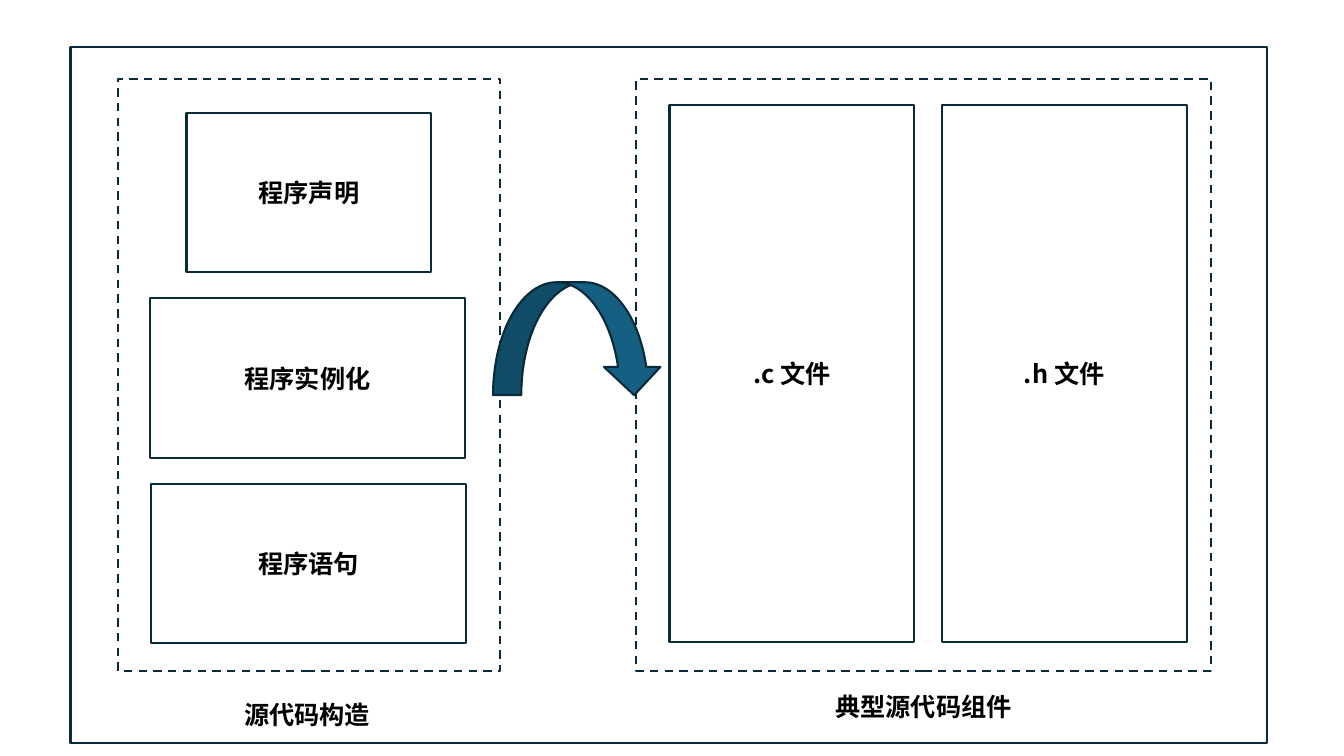
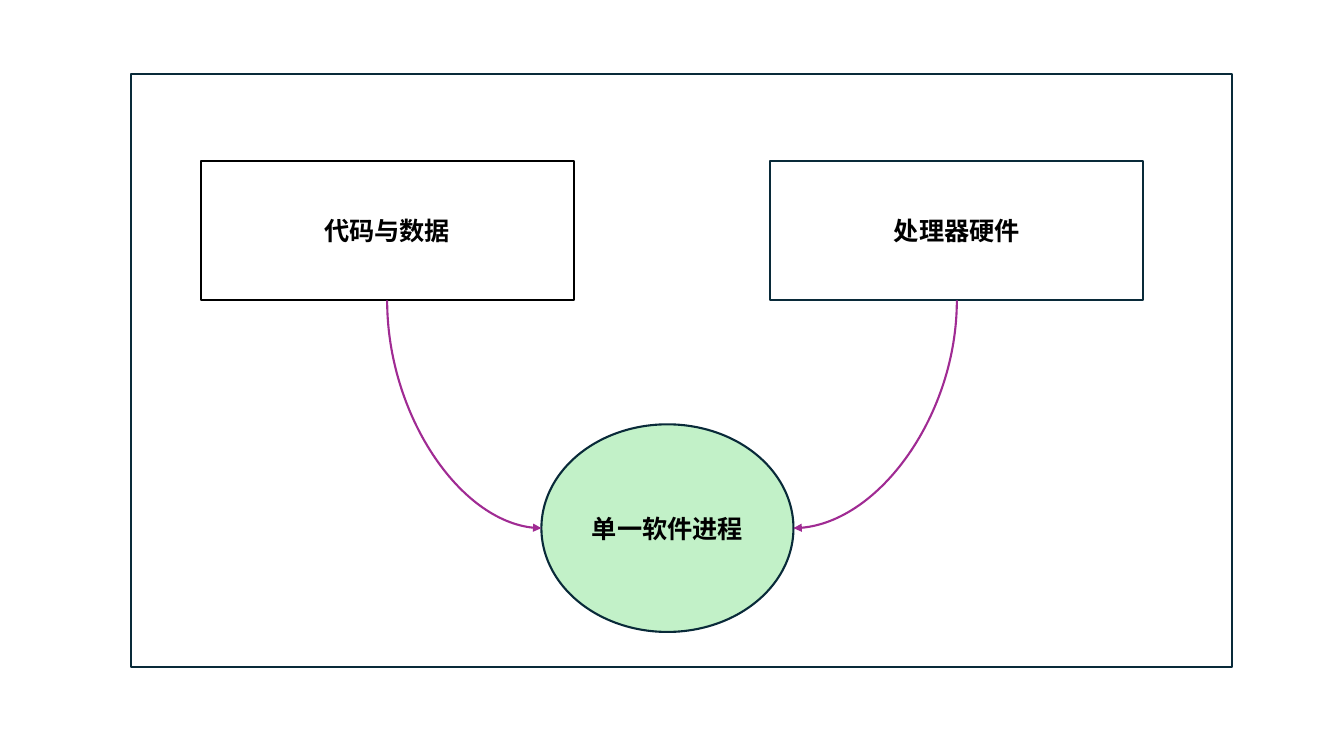
from lxml import etree
from pptx import Presentation
from pptx.dml.color import RGBColor
from pptx.enum.dml import MSO_LINE
from pptx.enum.shapes import MSO_CONNECTOR, MSO_SHAPE
from pptx.enum.text import MSO_ANCHOR, MSO_AUTO_SIZE, PP_ALIGN
from pptx.oxml.ns import qn
from pptx.util import Inches, Pt

RECT = MSO_SHAPE.RECTANGLE
OVAL = MSO_SHAPE.OVAL
BEND = MSO_SHAPE.CURVED_DOWN_ARROW
CURVE = MSO_CONNECTOR.CURVE
DASH = MSO_LINE.DASH
CENTER = PP_ALIGN.CENTER
MIDDLE = MSO_ANCHOR.MIDDLE
GROW = MSO_AUTO_SIZE.SHAPE_TO_FIT_TEXT

COLORS = {
    "edge": "092A39",
    "ink": "000000",
    "blue": "156082",
    "green": "C2F1C8",
    "plum": "A02B93",
}


class Deck:
    """Shared style and the current slide."""

    font = "Noto Sans CJK SC"
    size = Pt(18)
    width = Pt(1.5)

    def __init__(self):
        self.prs = Presentation()
        self.prs.slide_width = Inches(13.33)
        self.prs.slide_height = Inches(7.5)
        self.slide = None

    def page(self):
        self.slide = self.prs.slides.add_slide(self.prs.slide_layouts[6])

    def color(self, name):
        return RGBColor.from_string(COLORS[name])

    def stroke(self, line, name):
        line.color.rgb = self.color(name)
        line.width = self.width

    def put_text(self, frame, text):
        frame.word_wrap = True
        para = frame.paragraphs[0]
        para.alignment = CENTER
        run = para.add_run()
        run.text = text
        font = run.font
        font.size, font.bold, font.name = self.size, True, self.font
        font.color.rgb = self.color("ink")
        # East Asian text needs its own typeface entry
        props = run._r.get_or_add_rPr()
        etree.SubElement(props, qn("a:ea")).set("typeface", self.font)

    def shape(self, x, y, w, h, text="", kind=RECT, fill=None, edge="edge", dash=None):
        shape = self.slide.shapes.add_shape(
            kind, Inches(x), Inches(y), Inches(w), Inches(h))
        shape.shadow.inherit = False
        if fill:
            shape.fill.solid()
            shape.fill.fore_color.rgb = self.color(fill)
        else:
            shape.fill.background()
        self.stroke(shape.line, edge)
        if dash:
            shape.line.dash_style = dash
        if text:
            shape.text_frame.vertical_anchor = MIDDLE
            self.put_text(shape.text_frame, text)

    def label(self, x, y, w, text):
        box = self.slide.shapes.add_textbox(
            Inches(x), Inches(y), Inches(w), Inches(0.4))
        self.put_text(box.text_frame, text)
        box.text_frame.auto_size = GROW

    def arc(self, x1, y1, x2, y2):
        """Quarter curve that leaves downward and arrives sideways."""
        # The preset leaves sideways, so its frame is laid out turned by 90 degrees
        mid_x, mid_y = (x1 + x2) / 2, (y1 + y2) / 2
        half_w, half_h = (y2 - y1) / 2, abs(x2 - x1) / 2
        side = 1 if x2 > x1 else -1
        link = self.slide.shapes.add_connector(
            CURVE,
            Inches(mid_x + side * half_w), Inches(mid_y - half_h),
            Inches(mid_x - side * half_w), Inches(mid_y + half_h))
        self.stroke(link.line, "plum")
        props = link._element.spPr
        props.find(qn("a:prstGeom")).set("prst", "curvedConnector2")
        props.find(qn("a:xfrm")).set("rot", str((270 if side > 0 else 90) * 60000))
        tail = etree.SubElement(props.find(qn("a:ln")), qn("a:tailEnd"))
        tail.set("type", "triangle")
        etree.SubElement(props, qn("a:effectLst"))


def source(deck):
    deck.page()
    # Outer frame and dashed groups
    deck.shape(0.7, 0.47, 11.87, 6.9)
    for x, w in ((1.17, 3.79), (6.31, 5.7)):
        deck.shape(x, 0.78, w, 5.88, dash=DASH)

    # Program parts, stacked at an equal step
    parts = (
        (1.85, 2.43, "程序声明"),
        (1.49, 3.12, "程序实例化"),
        (1.5, 3.12, "程序语句"),
    )
    for row, (x, w, text) in enumerate(parts):
        deck.shape(x, 1.12 + row * 1.84, w, 1.58, text)

    # Files, side by side
    for col, text in enumerate((".c 文件", ".h 文件")):
        deck.shape(6.64 + col * 2.7, 1.04, 2.43, 5.33, text)

    # Captions and arrow
    deck.label(1.62, 6.89, 2.85, "源代码构造")
    deck.label(6.31, 6.81, 5.7, "典型源代码组件")
    deck.shape(4.89, 2.8, 1.68, 1.12, kind=BEND, fill="blue")


def process(deck):
    deck.page()
    # Frame, inputs and result
    deck.shape(1.3, 0.73, 10.92, 5.89)
    for x, text, edge in ((1.99, "代码与数据", "ink"), (7.64, "处理器硬件", "edge")):
        deck.shape(x, 1.6, 3.7, 1.38, text, edge=edge)
    deck.shape(5.37, 4.21, 2.5, 2.06, "单一软件进程", kind=OVAL, fill="green")

    # Curves from each input to the near side of the oval
    for start, end in ((3.84, 5.37), (9.49, 7.87)):
        deck.arc(start, 2.98, end, 5.24)


def main():
    deck = Deck()
    source(deck)
    process(deck)
    deck.prs.save("out.pptx")


if __name__ == "__main__":
    main()
